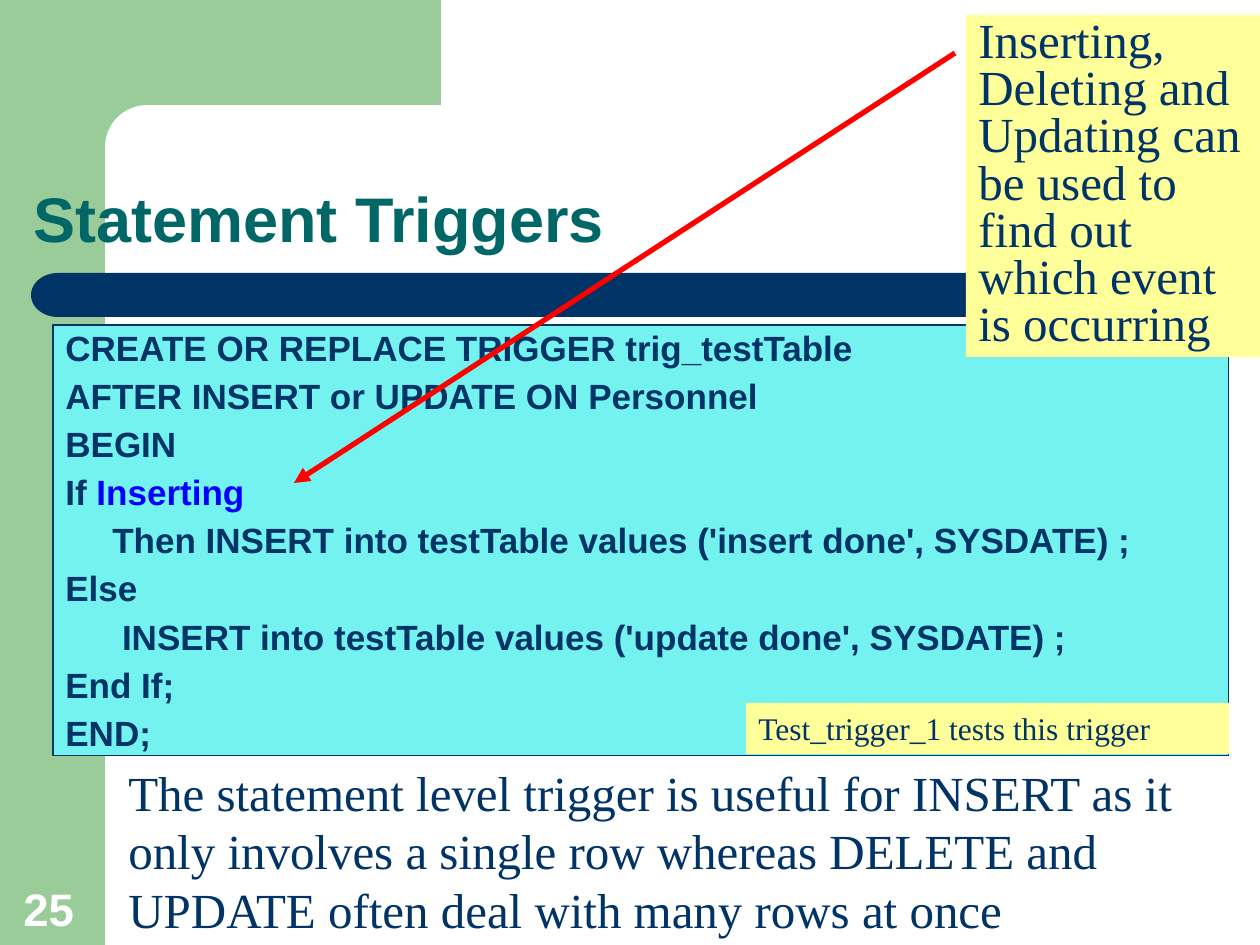
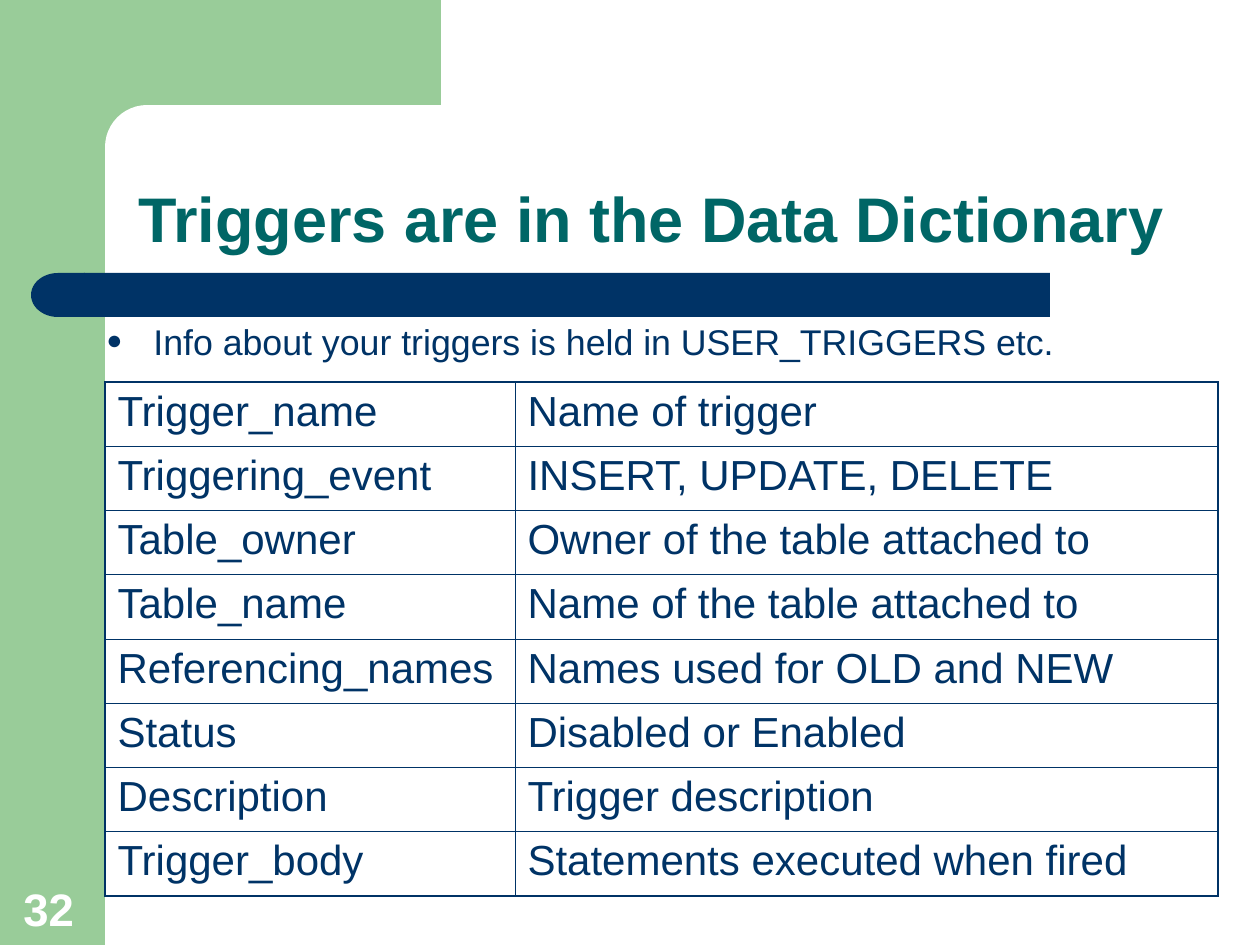
from lxml.etree import SubElement as Sub
from pptx import Presentation
from pptx.dml.color import RGBColor
from pptx.enum.shapes import MSO_CONNECTOR as Link, MSO_SHAPE as Form
from pptx.enum.text import MSO_ANCHOR as Anchor
from pptx.oxml.ns import qn
from pptx.util import Pt

PX = 7257  # EMU in one px, 126 px to the inch
NAVY, TEAL, GREEN, WHITE = "003366", "006666", "99CC99", "FFFFFF"
CYAN, CREAM, BLUE, RED = "74F2EF", "FFFF99", "0000FF", "FF0000"
SANS, SERIF = "Arial", "Times New Roman"
HANG = 47
rgb = RGBColor.from_string


def box(slide, area, fill=None, form=Form.RECTANGLE):
    """Add a filled shape, or a text box when there is no fill."""
    area = [PX * n for n in area]
    if fill is None:
        return slide.shapes.add_textbox(*area)
    shape = slide.shapes.add_shape(form, *area)
    shape.shadow.inherit = False
    shape.fill.solid()
    shape.fill.fore_color.rgb = rgb(fill)
    shape.line.fill.background()
    return shape


def write(frame, lines, size, face=SANS, hue=NAVY, bold=False, space=1.0,
          gap=0, hang=0, mark=None, anchor=Anchor.TOP):
    """Fill a text frame with one paragraph a line."""
    frame.word_wrap = True
    frame.vertical_anchor = anchor
    for i, line in enumerate(lines):
        para = frame.add_paragraph() if i else frame.paragraphs[0]
        para.text = line
        para.line_spacing = space
        if i and gap:
            para.space_before = Pt(gap)
        props = para._p.get_or_add_pPr()
        props.set("algn", "l")
        if hang:
            props.set("marL", str(PX * hang))
            props.set("indent", str(-PX * hang))
        if mark:
            Sub(props, qn("a:buSzPct"), val="75000")
            Sub(props, qn("a:buFont"), typeface=SANS)
            Sub(props, qn("a:buChar"), char=mark)
        font = para.font
        font.name, font.size, font.bold = face, Pt(size), bold
        font.color.rgb = rgb(hue)


deck = Presentation()
deck.slide_width, deck.slide_height = PX * 1260, PX * 945

# Shared frame: green corner, navy bar, page number and title
pages = [
    ("25", "Statement Triggers", (21, 105, 609, 157)),
    ("32", "Triggers are in the Data Dictionary", (126, 105, 1102, 157)),
]
slides = []
for number, title, area in pages:
    slide = deck.slides.add_slide(deck.slide_layouts[6])
    slides.append(slide)
    box(slide, (0, 0, 105, 945), GREEN)
    box(slide, (94, 0, 347, 147), GREEN)
    curve = box(slide, (105, 105, 703, 84), WHITE, Form.ROUNDED_RECTANGLE)
    curve.adjustments[0] = 0.5
    box(slide, (84, 273, 966, 44), NAVY)
    cap = box(slide, (31, 273, 54, 44), NAVY, Form.FLOWCHART_DELAY)
    cap._element.spPr.find(qn("a:xfrm")).set("flipH", "1")
    write(box(slide, (11, 874, 81, 68)).text_frame, [number], 26,
          hue=WHITE, bold=True, anchor=Anchor.BOTTOM)
    write(box(slide, area).text_frame, [title], 36,
          hue=TEAL, bold=True, space=0.9, anchor=Anchor.BOTTOM)
first, second = slides

# Trigger code
code = box(first, (53, 325, 1176, 431), CYAN)
code.line.color.rgb = rgb(NAVY)
code.line.width = Pt(0.75)
write(code.text_frame, [
    "CREATE OR REPLACE TRIGGER trig_testTable",
    "AFTER INSERT or UPDATE ON Personnel",
    "BEGIN",
    "If ",
    "\tThen INSERT into testTable values ('insert done', SYSDATE) ;",
    "Else",
    "\t INSERT into testTable values ('update done', SYSDATE) ;",
    "End If;",
    "END;",
], 20, bold=True, space=0.9, gap=5.9, hang=HANG)
event = code.text_frame.paragraphs[3].add_run()
event.text = "Inserting"
event.font.color.rgb = rgb(BLUE)

# Remark below the code
write(box(first, (116, 756, 1102, 189)).text_frame, [
    "The statement level trigger is useful for INSERT as it only involves "
    "a single row whereas DELETE and UPDATE often deal with many rows at once",
], 28, SERIF)

# Note with its arrow to the code
write(box(first, (966, 15, 294, 342), CREAM).text_frame, [
    "Inserting, Deleting and Updating can be used to find out "
    "which event is occurring",
], 28, SERIF, space=0.8)
arrow = first.shapes.add_connector(
    Link.STRAIGHT, *[PX * n for n in (955, 53, 294, 483)])
arrow.line.color.rgb = rgb(RED)
arrow.line.width = Pt(3)
Sub(arrow.line._get_or_add_ln(), qn("a:tailEnd"), type="triangle")
Sub(arrow._element.spPr, qn("a:effectLst"))

# Test label
write(box(first, (746, 703, 483, 51), CREAM).text_frame,
      ["Test_trigger_1 tests this trigger"], 18, SERIF)

# Bullet above the table
write(box(second, (94, 325, 1144, 42)).text_frame,
      ["Info about your triggers is held in USER_TRIGGERS etc."],
      20.4, space=0.7, hang=HANG, mark="●")

# Table of dictionary columns
rows = [
    ("Trigger_name", "Name of trigger"),
    ("Triggering_event", "INSERT, UPDATE, DELETE"),
    ("Table_owner", "Owner of the table attached to"),
    ("Table_name", "Name of the table attached to"),
    ("Referencing_names", "Names used for OLD and NEW"),
    ("Status", "Disabled or Enabled"),
    ("Description", "Trigger description"),
    ("Trigger_body", "Statements executed when fired"),
]
table = second.shapes.add_table(
    len(rows), 2, *[PX * n for n in (105, 382, 1113, 514)]).table
table.first_row = table.horz_banding = False
for col, width in zip(table.columns, (410, 703)):
    col.width = PX * width
last = len(rows) - 1
for r, row in enumerate(rows):
    table.rows[r].height = PX * 514 // len(rows)
    for c, text in enumerate(row):
        cell = table.cell(r, c)
        cell.margin_left = cell.margin_right = Pt(7.2)
        cell.margin_top = cell.margin_bottom = Pt(3.6)
        write(cell.text_frame, [text], 24)
        # Thick outer and thin inner borders
        props = cell._tc.get_or_add_tcPr()
        edges = {"L": c == 0, "R": c == 1, "T": r == 0, "B": r == last}
        for side, outer in edges.items():
            edge = Sub(props, qn("a:ln" + side),
                       w=str(Pt(1.08 if outer else 0.45)))
            Sub(Sub(edge, qn("a:solidFill")), qn("a:srgbClr"), val=NAVY)
        cell.fill.background()

deck.save("out.pptx")
